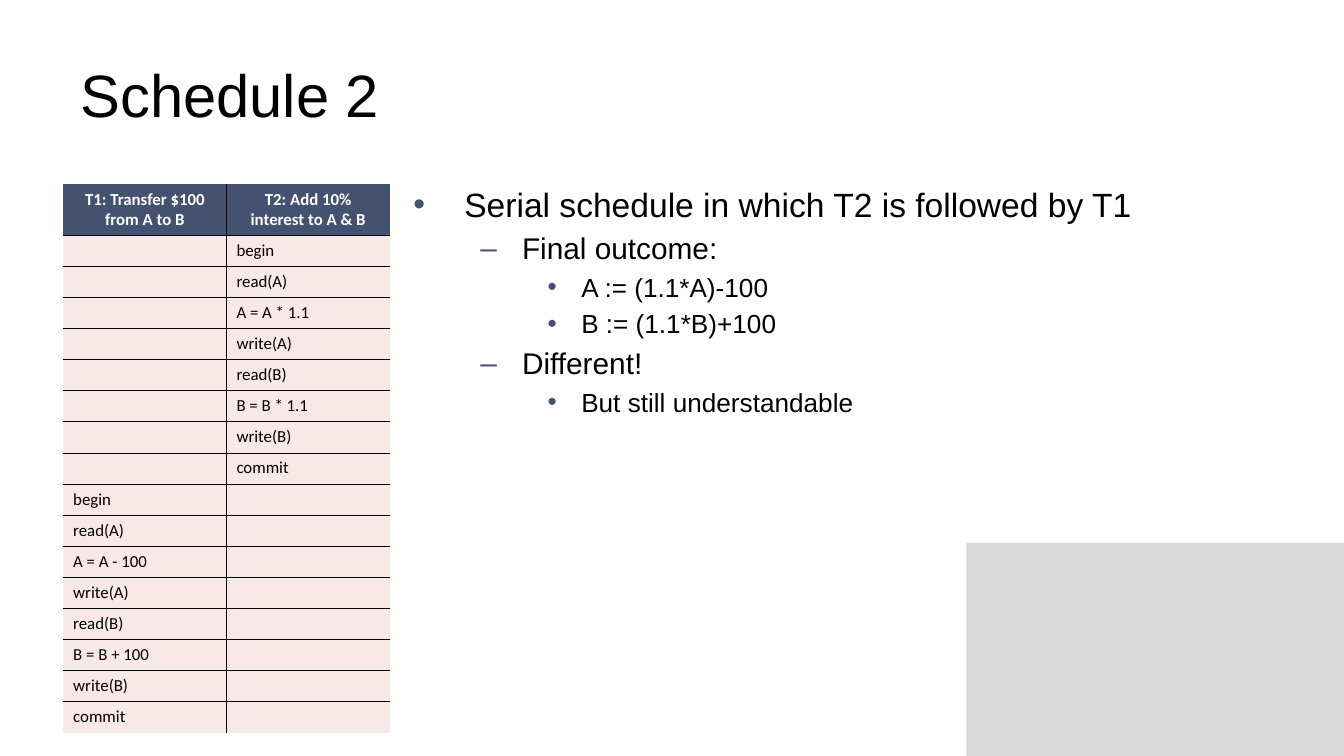
"""Build the "Schedule 2" slide on serial transaction schedules."""
from lxml import etree
from pptx import Presentation, util as u
from pptx.dml.color import RGBColor
from pptx.enum import shapes, text
from pptx.oxml.ns import qn

BLACK, WHITE, NAVY, PINK, GRAY = "000000", "FFFFFF", "44516F", "F8E8E8", "D9D9D9"
HEADERS = ["T1: Transfer $100 from A to B", "T2: Add 10% interest to A & B"]
T1 = ["begin", "read(A)", "A = A - 100", "write(A)",
      "read(B)", "B = B + 100", "write(B)", "commit"]
T2 = ["begin", "read(A)", "A = A * 1.1", "write(A)",
      "read(B)", "B = B * 1.1", "write(B)", "commit"]
ROWS = [HEADERS] + [["", step] for step in T2] + [[step, ""] for step in T1]
LEVELS = [(18, 0.38, 0.38, "•"), (16, 0.81, 0.31, "–"), (14, 1.25, 0.25, "•")]
POINTS = [
    (0, "Serial schedule in which T2 is followed by T1"),
    (1, "Final outcome:"),
    (2, "A := (1.1*A)-100"),
    (2, "B := (1.1*B)+100"),
    (1, "Different!"),
    (2, "But still understandable"),
]


def rgb(value):
    return RGBColor.from_string(value)


def set_all(obj, values):
    for name, value in values.items():
        setattr(obj, name, value)


def solid(parent, color):
    fill = etree.SubElement(parent, qn("a:solidFill"))
    etree.SubElement(fill, qn("a:srgbClr"), val=color)


class Deck:
    def __init__(self, width, height):
        self.prs = Presentation()
        self.prs.slide_width, self.prs.slide_height = u.Inches(width), u.Inches(height)
        self.s = self.prs.slides.add_slide(self.prs.slide_layouts[6])
        self.font, self.cell_font = "Arial", "Calibri"
        self.insets = {"margin_left": u.Pt(5.4), "margin_right": u.Pt(5.4),
                       "margin_top": u.Pt(2.7), "margin_bottom": u.Pt(2.7)}

    def run(self, p, content, size, color=BLACK, **style):
        r = p.add_run()
        r.text = content
        set_all(r.font, {"name": self.font, "size": u.Pt(size), **style})
        r.font.color.rgb = rgb(color)

    def block(self, at, color):
        sp = self.s.shapes.add_shape(shapes.MSO_SHAPE.RECTANGLE, *map(u.Inches, at))
        sp.shadow.inherit = False
        sp.fill.solid()
        sp.fill.fore_color.rgb = rgb(color)
        sp.line.fill.background()

    def box(self, at, **frame):
        tf = self.s.shapes.add_textbox(*map(u.Inches, at)).text_frame
        set_all(tf, {"word_wrap": True, **frame})
        return tf

    def title(self, at, content):
        tf = self.box(at, vertical_anchor=text.MSO_ANCHOR.MIDDLE)
        self.run(tf.paragraphs[0], content, 32)

    def bullets(self, at, points):
        tf = self.box(at, **self.insets)
        for i, (level, content) in enumerate(points):
            p = tf.paragraphs[0] if i == 0 else tf.add_paragraph()
            size, indent, hang, mark = LEVELS[level]
            p.level = level
            p.space_before = u.Pt(round(size * 0.2, 1) if i else 0)
            pPr = p._p.get_or_add_pPr()
            pPr.set("marL", str(u.Inches(indent)))
            pPr.set("indent", str(-u.Inches(hang)))
            color = etree.SubElement(pPr, qn("a:buClr"))
            etree.SubElement(color, qn("a:srgbClr"), val=NAVY)
            etree.SubElement(pPr, qn("a:buFont"), typeface=self.font)
            etree.SubElement(pPr, qn("a:buChar"), char=mark)
            self.run(p, content, size)

    def borders(self, cell, inner):
        tcPr = cell._tc.get_or_add_tcPr()
        for side, shown in inner.items():
            ln = etree.SubElement(tcPr, qn(f"a:ln{side}"), w=str(u.Pt(0.5)))
            if shown:
                solid(ln, BLACK)
            else:
                etree.SubElement(ln, qn("a:noFill"))

    def table(self, at, rows, head_height):
        last_row, last_col = len(rows) - 1, len(rows[0]) - 1
        table = self.s.shapes.add_table(
            len(rows), len(rows[0]), *map(u.Inches, at)).table
        for col in table.columns:
            col.width = u.Inches(at[2] / len(rows[0]))
        for i, row in enumerate(rows):
            head = i == 0
            height = head_height if head else (at[3] - head_height) / last_row
            table.rows[i].height = u.Inches(height)
            for j, content in enumerate(row):
                cell = table.cell(i, j)
                set_all(cell, self.insets)
                self.borders(cell, {"L": j > 0, "R": j < last_col,
                                    "T": i > 0, "B": i < last_row})
                cell.fill.solid()
                cell.fill.fore_color.rgb = rgb(NAVY if head else PINK)
                p = cell.text_frame.paragraphs[0]
                p.alignment = text.PP_ALIGN.CENTER if head else text.PP_ALIGN.LEFT
                if content:
                    self.run(p, content, 9, WHITE if head else BLACK,
                             name=self.cell_font, bold=head)
                else:
                    etree.SubElement(p._p, qn("a:endParaRPr"), sz="900")


def main():
    width = 10
    height = width * 9 / 16
    deck = Deck(width, height)
    deck.block((7.19, 4.04, width - 7.19, height - 4.04), GRAY)
    deck.title((0.5, 0.23, 9, 0.94), "Schedule 2")
    deck.table((0.47, 1.37, 2.43, 4.09), ROWS, 0.38)
    deck.bullets((3, 1.33, 6.17, 1.8), POINTS)
    deck.prs.save("out.pptx")


if __name__ == "__main__":
    main()
